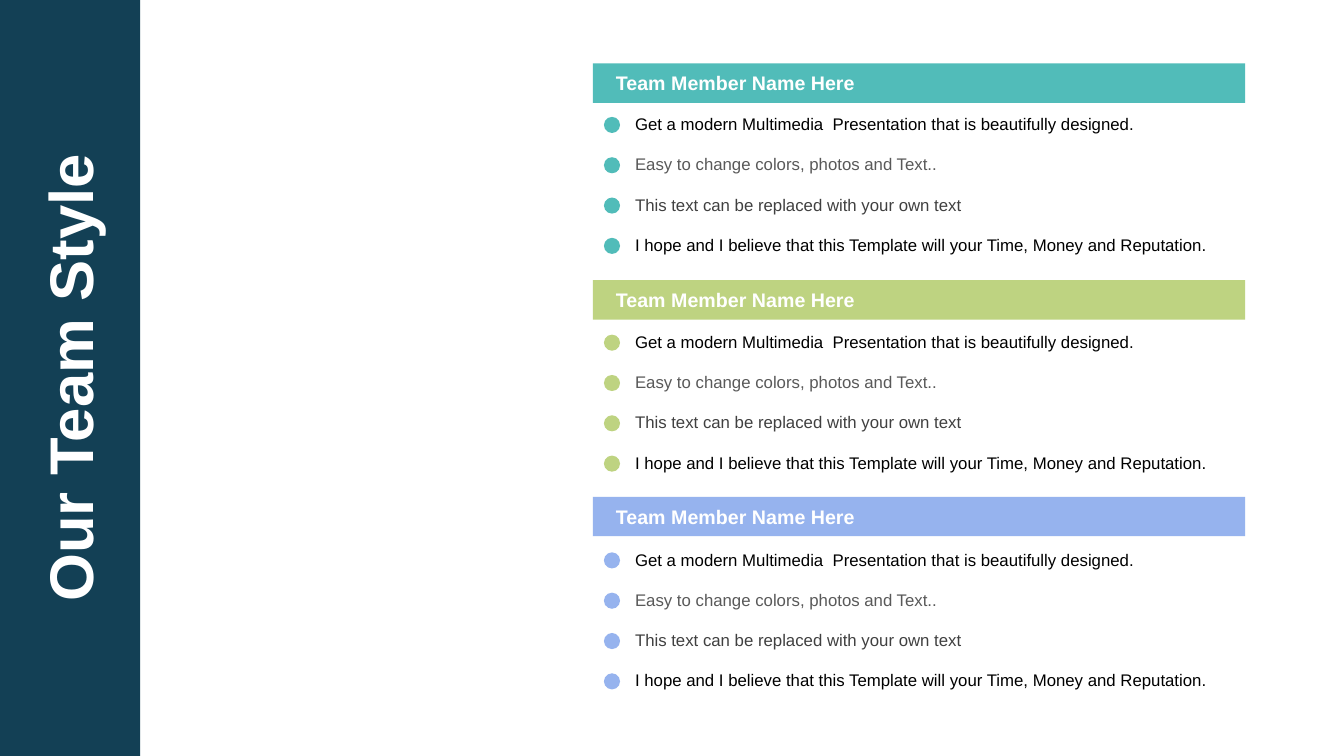
from pptx import Presentation
from pptx.dml.color import RGBColor as RGB
from pptx.enum.shapes import MSO_SHAPE as Shape
from pptx.enum.text import MSO_ANCHOR as Anchor, MSO_AUTO_SIZE as Fit, PP_ALIGN as Align
from pptx.util import Inches, Pt

COLORS = {
    "navy": "134055", "teal": "51BCB9", "green": "BED381", "blue": "96B3EE",
    "white": "FFFFFF", "black": "000000", "gray": "595959", "dark": "404040",
}
TITLE = "Our Team Style"
NAME = "Team Member Name Here"
POINTS = [
    ("Get a modern Multimedia  Presentation that is beautifully designed.", "black"),
    ("Easy to change colors, photos and Text..", "gray"),
    ("This text can be replaced with your own text", "dark"),
    ("I hope and I believe that this Template will your Time, Money and Reputation.", "black"),
]


class Deck:
    """Holds the slide and its style; boxes are left, top, width, height in inches."""

    font = "Arial"

    def __init__(self):
        self.prs = Presentation()
        self.prs.slide_width = Inches(13.33)
        self.prs.slide_height = Inches(7.5)
        self.slide = self.prs.slides.add_slide(self.prs.slide_layouts[5])

    def color(self, name):
        return RGB.from_string(COLORS[name])

    def shape(self, kind, box, fill):
        item = self.slide.shapes.add_shape(kind, *map(Inches, box))
        item.shadow.inherit = False
        item.fill.solid()
        item.fill.fore_color.rgb = self.color(fill)
        item.line.fill.background()

    def label(self, item, text, size, color, bold=False, anchor=Anchor.TOP, align=Align.LEFT):
        frame = item.text_frame
        frame.text = text
        frame.word_wrap = True
        frame.auto_size = Fit.NONE
        frame.vertical_anchor = anchor
        para = frame.paragraphs[0]
        para.alignment = align
        font = para.runs[0].font
        font.name, font.size, font.bold = self.font, Pt(size), bold
        font.color.rgb = self.color(color)

    def text(self, box, text, size, color, **style):
        item = self.slide.shapes.add_textbox(*map(Inches, box))
        self.label(item, text, size, color, **style)

    def title(self, box, text):
        """Turn the title upright and bring it in front of the side bar."""
        item = self.slide.shapes.title
        item.left, item.top, item.width, item.height = map(Inches, box)
        item.rotation = 270
        self.label(item, text, 44, "white", bold=True, align=Align.CENTER)
        item.element.getparent().append(item.element)

    def member(self, row, fill):
        """Draw one name bar with its bulleted lines."""
        bar = 0.63 + 2.15 * row
        self.shape(Shape.RECTANGLE, (5.88, bar, 6.47, 0.39), fill)
        self.text((6.01, bar + 0.04, 3.62, 0.31), NAME, 14, "white",
                  bold=True, anchor=Anchor.MIDDLE)
        for i, (line, color) in enumerate(POINTS):
            top = 1.08 + 2.16 * row + 0.4 * i
            self.shape(Shape.OVAL, (5.99, top + 0.08, 0.16, 0.16), fill)
            self.text((6.2, top, 6.28, 0.3), line, 12, color)


def main():
    deck = Deck()
    deck.shape(Shape.RECTANGLE, (0, 0, 1.39, 7.5), "navy")
    for row, fill in enumerate(("teal", "green", "blue")):
        deck.member(row, fill)
    deck.title((-1.83, 3.33, 5.04, 0.84), TITLE)
    deck.prs.save("out.pptx")


if __name__ == "__main__":
    main()
